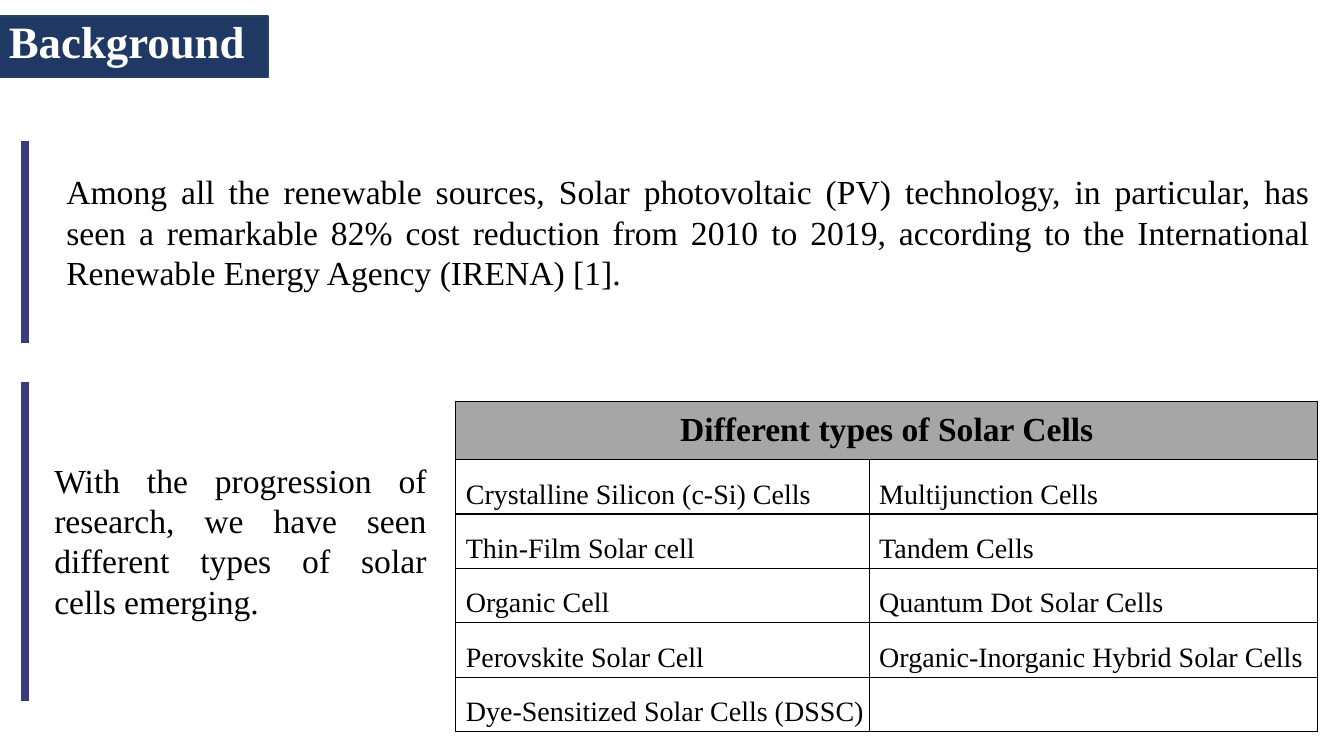
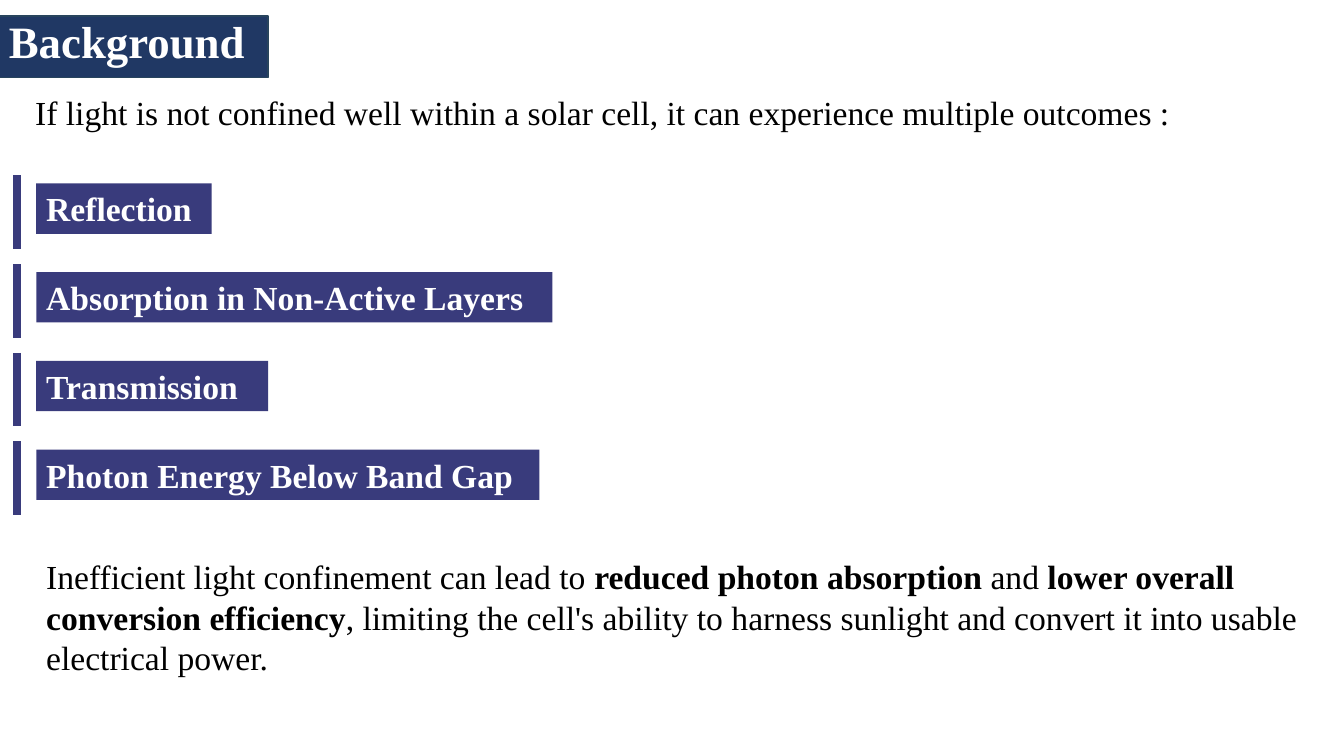
from dataclasses import dataclass
from typing import Any

from lxml.etree import SubElement
from pptx import Presentation
from pptx.dml.color import RGBColor
from pptx.enum.shapes import MSO_CONNECTOR as Connector, MSO_SHAPE as Preset
from pptx.enum.text import MSO_ANCHOR as Anchor, MSO_AUTO_SIZE as AutoSize, PP_ALIGN as Align
from pptx.oxml import parse_xml
from pptx.oxml.ns import nsdecls, qn
from pptx.util import Emu, Pt

SCALE = 9144
FONT = "Times New Roman"
NAVY, NAVY_EDGE, INDIGO = "203864", "28445D", "393B7C"
GREY, BLACK, WHITE = "A6A6A6", "000000", "FFFFFF"

FITTED = {"word_wrap": True, "auto_size": AutoSize.SHAPE_TO_FIT_TEXT, "vertical_anchor": Anchor.TOP}
FIXED = FITTED | {"auto_size": AutoSize.NONE}
LEFT = {"alignment": Align.LEFT}
JUSTIFIED = {"alignment": Align.JUSTIFY}
TITLE_PARA = LEFT | {"line_spacing": 0.9}
CELL_PARA = LEFT | {"line_spacing": 1.5}
CENTRED = {"alignment": Align.CENTER}


def px(length: int) -> Emu:
    return Emu(length * SCALE)


def colour(code: str) -> RGBColor:
    return RGBColor.from_string(code)


CELL_FORMAT = {
    "vertical_anchor": Anchor.MIDDLE,
    "margin_left": px(3),
    "margin_right": px(3),
    "margin_top": px(2),
    "margin_bottom": px(2),
}
BODY_CELL = CELL_FORMAT | {"margin_left": px(10)}


@dataclass(frozen=True)
class Box:
    left: int
    top: int
    width: int
    height: int

    def lengths(self) -> tuple[Emu, ...]:
        return tuple(px(value) for value in (self.left, self.top, self.width, self.height))


@dataclass(frozen=True)
class Span:
    text: str
    bold: bool = False


@dataclass(frozen=True)
class Outcome:
    text: str
    width: int


TITLE_BOX = Box(-1, 16, 267, 61)
CELL_TYPES = [
    ("Crystalline Silicon (c-Si) Cells", "Multijunction Cells"),
    ("Thin-Film Solar cell", "Tandem Cells"),
    ("Organic Cell", "Quantum Dot Solar Cells"),
    ("Perovskite Solar Cell", "Organic-Inorganic Hybrid Solar Cells"),
    ("Dye-Sensitized Solar Cells (DSSC)", ""),
]
OUTCOMES = [
    Outcome("Reflection", 174),
    Outcome("Absorption in Non-Active Layers", 512),
    Outcome("Transmission", 230),
    Outcome("Photon Energy Below Band Gap", 499),
]
OUTCOME_TOP, OUTCOME_STEP, OUTCOME_BAR = 174, 88, 73


def apply(target: Any, values: dict[str, Any]) -> None:
    for name, value in values.items():
        setattr(target, name, value)


def write(frame: Any, spans: list[Span], size: int, ink: str, layout: dict[str, Any]) -> None:
    para = frame.paragraphs[0]
    apply(para, layout)
    for span in spans:
        run = para.add_run()
        run.text = span.text
        apply(run.font, {"name": FONT, "size": Pt(size), "bold": span.bold})
        run.font.color.rgb = colour(ink)


def add_text(page: Any, box: Box, spans: list[Span], layout: dict[str, Any] = LEFT) -> None:
    frame = page.shapes.add_textbox(*box.lengths()).text_frame
    apply(frame, FITTED)
    write(frame, spans, 24, BLACK, layout)


def add_block(page: Any, box: Box, fill: str) -> Any:
    block = page.shapes.add_shape(Preset.RECTANGLE, *box.lengths())
    block.shadow.inherit = False
    block.fill.solid()
    block.fill.fore_color.rgb = colour(fill)
    block.line.fill.background()
    return block


def add_title(page: Any, text: str) -> None:
    band = add_block(page, TITLE_BOX, NAVY)
    band.line.color.rgb = colour(NAVY_EDGE)
    band.line.width = Pt(1)
    apply(band.text_frame, FIXED | {"margin_top": px(4)})
    write(band.text_frame, [Span(text, True)], 32, WHITE, TITLE_PARA)


def add_bar(page: Any, x: int, top: int, length: int) -> None:
    bar = page.shapes.add_connector(Connector.STRAIGHT, px(x), px(top), px(x), px(top + length))
    bar.line.color.rgb = colour(INDIGO)
    bar.line.width = Pt(6)
    SubElement(bar._element.spPr, qn("a:effectLst"))


def add_outcome(page: Any, outcome: Outcome, top: int) -> None:
    add_bar(page, 17, top, OUTCOME_BAR)
    label = add_block(page, Box(36, top + 8, outcome.width, 50), INDIGO)
    apply(label.text_frame, FITTED)
    write(label.text_frame, [Span(outcome.text, True)], 24, WHITE, LEFT)


def add_borders(cell: Any) -> None:
    properties = cell._tc.get_or_add_tcPr()
    for index, side in enumerate(("lnL", "lnR", "lnT", "lnB")):
        border = parse_xml(
            f'<a:{side} {nsdecls("a")} w="{Pt(1)}"><a:solidFill>'
            f'<a:srgbClr val="{BLACK}"/></a:solidFill></a:{side}>'
        )
        properties.insert(index, border)


def add_cell_table(page: Any) -> None:
    box = Box(452, 398, 855, 323)
    table = page.shapes.add_table(len(CELL_TYPES) + 1, 2, *box.lengths()).table
    apply(table, {"first_row": False, "horz_banding": False})
    for column, width in zip(table.columns, (410, 445)):
        column.width = px(width)
    for index, row in enumerate(table.rows):
        row.height = px(53 if index else 58)
    for cell in table.iter_cells():
        cell.fill.background()
        add_borders(cell)

    header = table.cell(0, 0)
    header.merge(table.cell(0, 1))
    header.fill.solid()
    header.fill.fore_color.rgb = colour(GREY)
    apply(header, CELL_FORMAT)
    write(header.text_frame, [Span("Different types of Solar Cells", True)], 24, BLACK, CENTRED)

    for row, names in enumerate(CELL_TYPES, start=1):
        for column, name in enumerate(names):
            cell = table.cell(row, column)
            apply(cell, BODY_CELL)
            if name:
                write(cell.text_frame, [Span(name)], 20, BLACK, CELL_PARA)


def build_cell_types(page: Any) -> None:
    add_bar(page, 25, 140, 200)
    add_text(
        page,
        Box(56, 165, 1253, 172),
        [Span(
            "Among all the renewable sources, Solar photovoltaic (PV) technology, in particular, "
            "has seen a remarkable 82% cost reduction from 2010 to 2019, according to the "
            "International Renewable Energy Agency (IRENA) [1]."
        )],
        JUSTIFIED,
    )
    add_bar(page, 25, 379, 316)
    add_cell_table(page)
    add_text(
        page,
        Box(44, 451, 389, 172),
        [Span(
            "With the progression of research, we have seen different types of solar cells emerging."
        )],
        JUSTIFIED,
    )


def build_outcomes(page: Any) -> None:
    add_text(
        page,
        Box(25, 86, 1152, 50),
        [Span(
            "If light is not confined well within a solar cell, it can experience multiple outcomes :"
        )],
    )
    for index, outcome in enumerate(OUTCOMES):
        add_outcome(page, outcome, OUTCOME_TOP + index * OUTCOME_STEP)
    add_text(
        page,
        Box(36, 547, 1281, 131),
        [
            Span("Inefficient light confinement can lead to "),
            Span("reduced photon absorption ", True),
            Span("and "),
            Span("lower overall conversion efficiency", True),
            Span(
                ", limiting the cell's ability to harness sunlight and convert it into usable "
                "electrical power."
            ),
        ],
    )


def main() -> None:
    deck = Presentation()
    apply(deck, {"slide_width": px(1333), "slide_height": px(750)})
    for build in (build_cell_types, build_outcomes):
        page = deck.slides.add_slide(deck.slide_layouts[6])
        add_title(page, "Background")
        build(page)
    deck.save("out.pptx")


if __name__ == "__main__":
    main()
